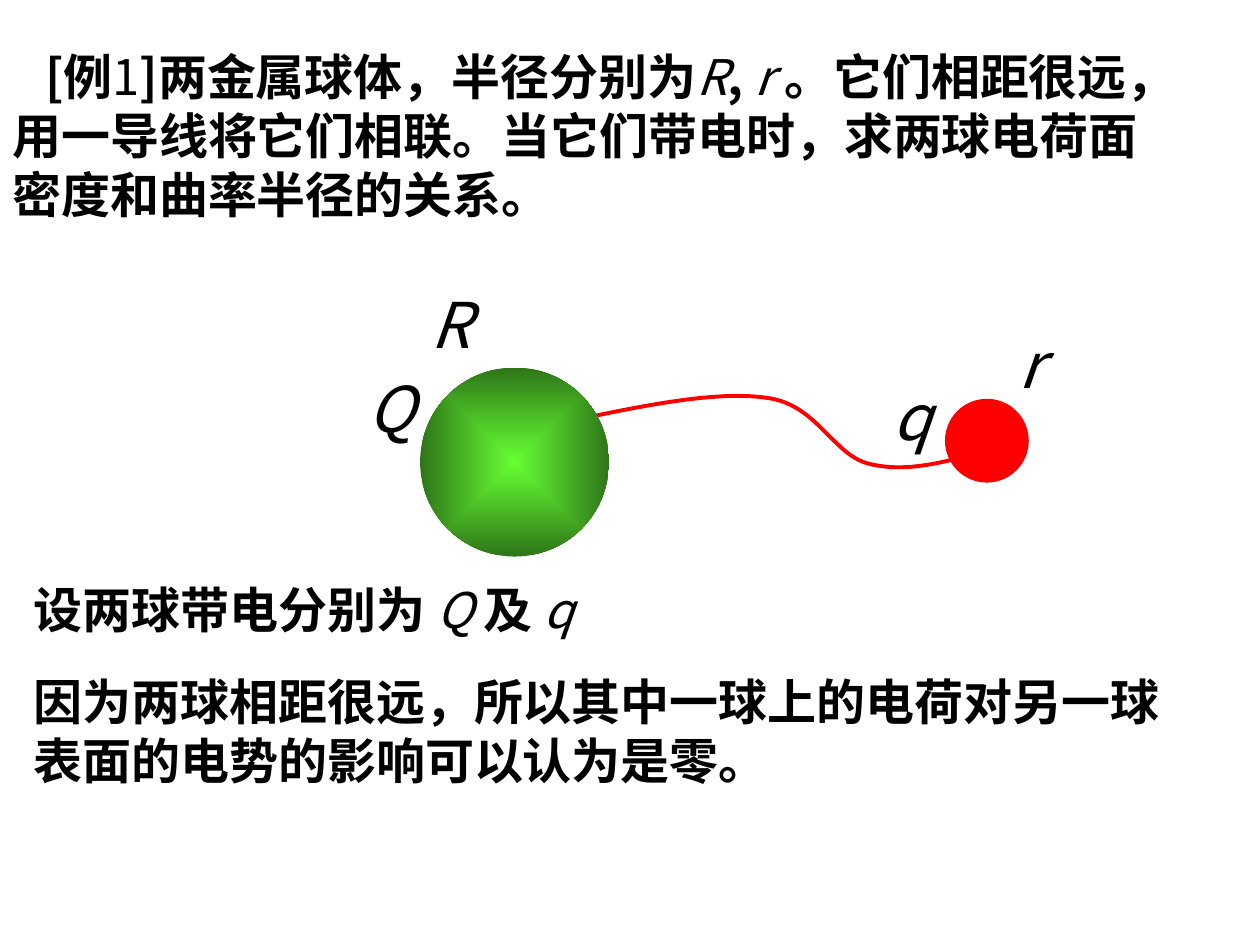
from lxml import etree
from pptx import Presentation
from pptx.dml.color import RGBColor
from pptx.enum.shapes import MSO_SHAPE
from pptx.enum.text import MSO_AUTO_SIZE, PP_ALIGN
from pptx.oxml.ns import qn
from pptx.util import Cm, Pt

ELLIPSE = MSO_SHAPE.OVAL
GROW = MSO_AUTO_SIZE.SHAPE_TO_FIT_TEXT
JUSTIFY = PP_ALIGN.JUSTIFY

FONT = "Noto Sans CJK JP"
BLACK, RED = "000000", "FF0000"
GREEN, DARK_GREEN = "66FF33", "2F7618"
BOLD, PLAIN, ITALIC = (True, False), (False, False), (False, True)


def rgb(value):
    return RGBColor.from_string(value)


def add_run(p, text, size, style):
    r = p.add_run()
    r.text = text
    r.font.name = FONT
    r.font.size = Pt(size)
    r.font.bold, r.font.italic = style
    r.font.color.rgb = rgb(BLACK)
    # Chinese characters take the East Asian typeface
    r.font._element.find(qn("a:latin")).addnext(
        etree.Element(qn("a:ea"), typeface=FONT))


def add_text_box(shapes, box, wrap=True):
    tf = shapes.add_textbox(*(Cm(v) for v in box)).text_frame
    tf.word_wrap = wrap
    tf.auto_size = GROW
    return tf


def add_passage(shapes, box, parts, indent=0):
    p = add_text_box(shapes, box).paragraphs[0]
    if indent:
        p._p.get_or_add_pPr().set("indent", str(Cm(indent)))
    for text, style in parts:
        add_run(p, text, 28, style)


def add_label(shapes, box, symbol, spacing=None, wrap=False):
    tf = add_text_box(shapes, box, wrap)
    tf.margin_left = tf.margin_top = tf.margin_right = tf.margin_bottom = 0
    p = tf.paragraphs[0]
    p.alignment = JUSTIFY
    p.line_spacing = spacing
    add_run(p, symbol, 36, ITALIC)


def add_ball(shapes, left, top, diameter, color, edge_color=None):
    sp = shapes.add_shape(ELLIPSE, Cm(left), Cm(top), Cm(diameter), Cm(diameter))
    sp.shadow.inherit = False
    sp.line.fill.background()
    if edge_color is None:
        sp.fill.solid()
        sp.fill.fore_color.rgb = rgb(color)
        return
    sp.fill.gradient()
    for stop, value in zip(sp.fill.gradient_stops, (color, edge_color)):
        stop.color.rgb = rgb(value)
    # Gradient runs from the centre outwards
    grad = sp._element.spPr.find(qn("a:gradFill"))
    grad.remove(grad.find(qn("a:lin")))
    path = etree.SubElement(grad, qn("a:path"), {"path": "shape"})
    etree.SubElement(path, qn("a:fillToRect"),
                     dict.fromkeys("ltrb", "50000"))


def bezier_point(a, b, c, d, t):
    u = 1 - t
    return tuple(Cm(u**3 * i + 3 * u*u*t * j + 3 * u*t*t * k + t**3 * m)
                 for i, j, k, m in zip(a, b, c, d))


def add_wire(shapes, points, steps=24):
    """Draw chained cubic curves; each takes three points after its start."""
    curve = [bezier_point(*points[i:i + 4], n / steps)
             for i in range(0, len(points) - 1, 3)
             for n in range(1, steps + 1)]
    x, y = points[0]
    builder = shapes.build_freeform(Cm(x), Cm(y))
    builder.add_line_segments(curve, close=False)
    sp = builder.convert_to_shape()
    sp.shadow.inherit = False
    sp.fill.background()
    sp.line.color.rgb = rgb(RED)
    sp.line.width = Pt(2.25)


def add_diagram(slide):
    shapes = slide.shapes.add_group_shape().shapes

    # Wire lies behind the balls it joins
    add_wire(shapes, [(11.86, 8.41),
                      (13.21, 8.13), (14.58, 7.87), (15.52, 8.03),
                      (16.46, 8.18), (16.79, 9.14), (17.48, 9.34),
                      (18.19, 9.53), (18.92, 9.35), (19.69, 9.14)])
    add_ball(shapes, 8.47, 7.41, 3.81, GREEN, DARK_GREEN)
    add_ball(shapes, 19.05, 8.04, 1.69, RED)

    # Radius and charge of each ball
    add_label(shapes, (8.68, 5.93, 0.81, 1.37), "R", spacing=0.9)
    add_label(shapes, (7.41, 7.62, 1.06, 1.37), "Q", spacing=0.9)
    add_label(shapes, (17.99, 7.62, 0.71, 1.52), "q")
    add_label(shapes, (20.53, 6.56, 1.06, 1.52), "r", wrap=True)


def main():
    prs = Presentation()
    prs.slide_width, prs.slide_height = Cm(25.4), Cm(19.05)
    slide = prs.slides.add_slide(prs.slide_layouts[6])

    # Problem statement
    add_passage(slide.shapes, (0, 0.81, 24.13, 3.81), [
        ("[例", BOLD), ("1", PLAIN), ("]两金属球体，半径分别为", BOLD),
        ("R", ITALIC), (", ", BOLD), ("r ", ITALIC),
        ("。它们相距很远，用一导线将它们相联。当它们带电时，"
         "求两球电荷面密度和曲率半径的关系。", BOLD)], indent=0.66)

    add_diagram(slide)

    # Assumptions
    add_passage(slide.shapes, (0.43, 11.56, 17.07, 1.45), [
        ("设两球带电分别为 ", BOLD), ("Q ", ITALIC),
        ("及 ", BOLD), ("q", ITALIC)])
    add_passage(slide.shapes, (0.43, 13.41, 23.93, 2.62), [
        ("因为两球相距很远，所以其中一球上的电荷对另一球"
         "表面的电势的影响可以认为是零。", BOLD)])

    prs.save("out.pptx")


if __name__ == "__main__":
    main()
